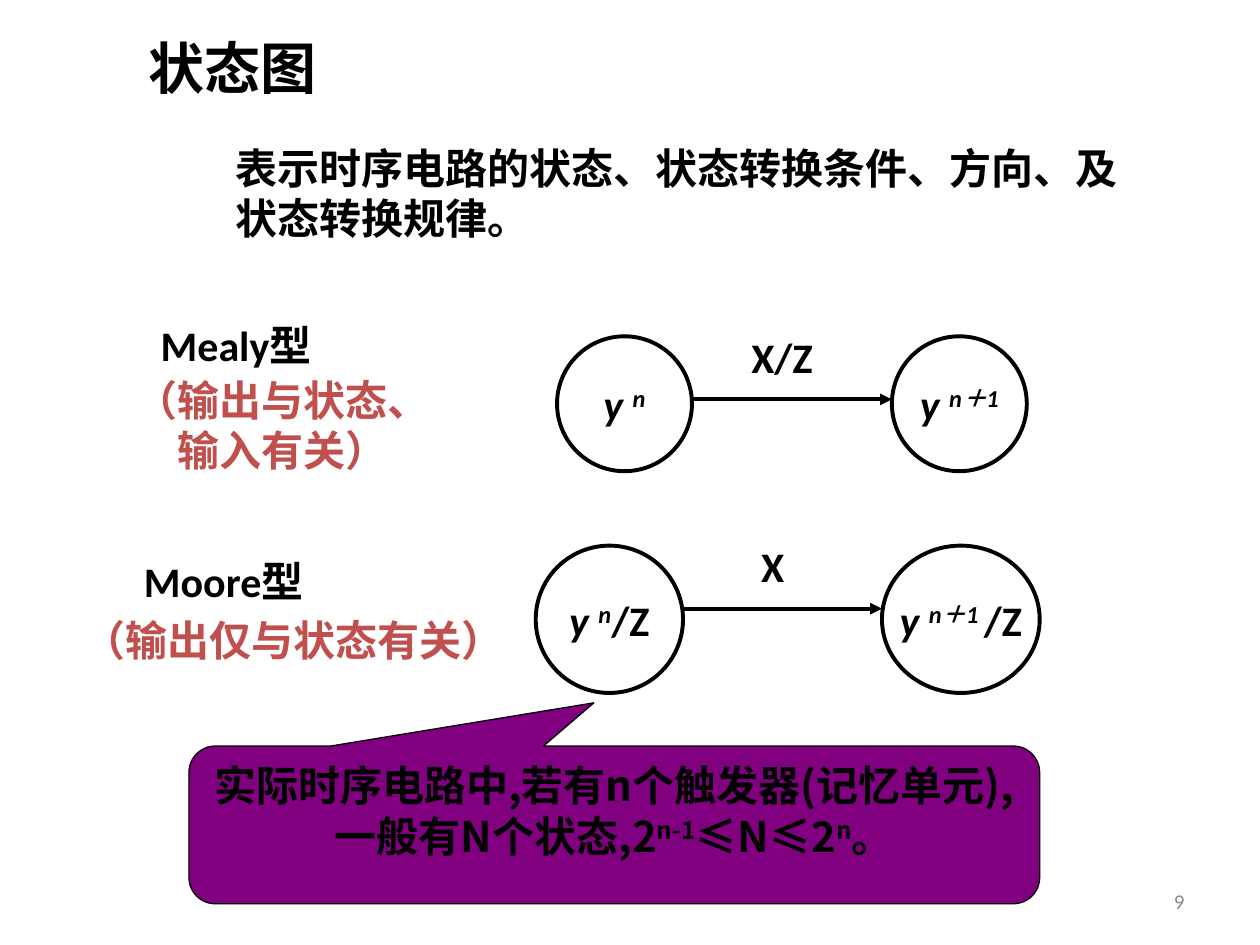
"""Build the slide on Mealy and Moore state diagrams."""
from lxml import etree
from pptx import Presentation
from pptx.dml.color import RGBColor
from pptx.enum.shapes import MSO_CONNECTOR, MSO_SHAPE
from pptx.enum.text import MSO_ANCHOR, PP_ALIGN
from pptx.oxml.ns import qn
from pptx.util import Cm, Pt

LEFT, CENTER, RIGHT = PP_ALIGN.LEFT, PP_ALIGN.CENTER, PP_ALIGN.RIGHT
TOP, MIDDLE = MSO_ANCHOR.TOP, MSO_ANCHOR.MIDDLE
OVAL, CALLOUT = MSO_SHAPE.OVAL, MSO_SHAPE.ROUNDED_RECTANGULAR_CALLOUT
STRAIGHT = MSO_CONNECTOR.STRAIGHT

COLORS = {"ink": "000000", "paper": "FFFFFF", "note": "C0504D",
          "callout": "800080", "page": "898989"}
LATIN, CHINESE = "Calibri", "Noto Sans CJK SC"

Y, N, N_NEXT, OUTPUT = ("y ", "i"), ("n", "i^"), ("n＋1", "i^"), ("/Z", "")

CAPTIONS = [
    ((18.21, 17.65, 5.92, 1.02), ["9"],
     dict(size=12, bold=False, color="page", align=RIGHT, anchor=MIDDLE)),
    ((2.69, 0.71, 4.01, 1.27), ["状态图"], dict(size=32, anchor=MIDDLE)),
    ((4.5, 2.74, 18.29, 2.29),
     ["表示时序电路的状态、状态转换条件、方向、及", "状态转换规律。"],
     dict(font=CHINESE, align=LEFT, wrap=False)),
    ((2.69, 6.32, 4.14, 1.27), ["Mealy型"], {}),
    ((2.11, 7.42, 7.19, 2.29), ["（输出与状态、", "输入有关）"],
     dict(font=CHINESE, color="note")),
    ((2.54, 11.07, 3.94, 1.27), ["Moore型"], dict(wrap=False)),
    ((1.3, 12.27, 9.22, 1.27), ["（输出仅与状态有关）"],
     dict(font=CHINESE, color="note")),
]

DIAGRAMS = [
    dict(top=6.78, height=2.72, condition="X/Z", condition_width=2,
         states=[(11.23, 2.72, [Y, N]), (17.98, 2.72, [Y, N_NEXT])]),
    dict(top=11, height=2.97, condition="X", condition_width=1,
         states=[(10.8, 2.97, [Y, N, OUTPUT]),
                 (17.78, 3.18, [Y, ("n＋1 ", "i^"), OUTPUT])]),
]
ARROW_DROP, CONDITION_RISE, CONDITION_SHIFT = 1.27, 0.22, -0.2

RULE_BOX = (3.81, 15.04, 17.15, 3.18)
RULE_ADJUSTMENTS = (-0.024, -0.774, 0.167)
RULE = [("实际时序电路中,若有n个触发器(记忆单元),一般有N个状态,2", ""),
        ("n-1", "^"), ("≤N≤2", ""), ("n", "^"), ("。", "")]


def rgb(name):
    return RGBColor.from_string(COLORS[name])


def write(holder, paragraphs, size=24, font=LATIN, color="ink", bold=True,
          align=CENTER, anchor=TOP, wrap=True):
    """Fill a shape; a paragraph is a string or (text, marks) runs, i italic, ^ raised."""
    frame = holder.text_frame
    frame.word_wrap = wrap
    frame.vertical_anchor = anchor
    for index, content in enumerate(paragraphs):
        paragraph = frame.add_paragraph() if index else frame.paragraphs[0]
        paragraph.alignment = align
        runs = [(content, "")] if isinstance(content, str) else content
        for text, marks in runs:
            run = paragraph.add_run()
            run.text = text
            run.font.size = Pt(size)
            run.font.bold = bold
            run.font.italic = "i" in marks
            run.font.color.rgb = rgb(color)
            run.font.name = font
            properties = run._r.get_or_add_rPr()
            etree.SubElement(properties, qn("a:ea"), typeface=CHINESE)
            if "^" in marks:
                properties.set("baseline", "30000")


def add_caption(slide, box, paragraphs, **style):
    write(slide.shapes.add_textbox(*map(Cm, box)), paragraphs, **style)


def add_outlined(slide, kind, box, fill, width):
    shape = slide.shapes.add_shape(kind, *map(Cm, box))
    shape.shadow.inherit = False
    shape.fill.solid()
    shape.fill.fore_color.rgb = rgb(fill)
    shape.line.color.rgb = rgb("ink")
    shape.line.width = Pt(width)
    return shape


def add_arrow(slide, start, end, y):
    arrow = slide.shapes.add_connector(STRAIGHT, Cm(start), Cm(y), Cm(end), Cm(y))
    arrow.line.color.rgb = rgb("ink")
    arrow.line.width = Pt(2.25)
    etree.SubElement(arrow.line._get_or_add_ln(), qn("a:tailEnd"), type="triangle")
    etree.SubElement(arrow._element.spPr, qn("a:effectLst"))


def add_diagram(slide, top, height, condition, condition_width, states):
    for left, width, label in states:
        state = add_outlined(slide, OVAL, (left, top, width, height), "paper", 2.25)
        write(state, [label], anchor=MIDDLE, wrap=False)
    start, end = states[0][0] + states[0][1], states[1][0]
    add_arrow(slide, start, end, top + ARROW_DROP)
    condition_left = (start + end - condition_width) / 2 + CONDITION_SHIFT
    add_caption(slide, (condition_left, top - CONDITION_RISE, condition_width, 1.27),
                [condition], wrap=False)


def main():
    deck = Presentation()
    deck.slide_width, deck.slide_height = Cm(25.4), Cm(19.05)
    slide = deck.slides.add_slide(deck.slide_layouts[6])
    for box, paragraphs, style in CAPTIONS:
        add_caption(slide, box, paragraphs, **style)
    for diagram in DIAGRAMS:
        add_diagram(slide, **diagram)
    rule = add_outlined(slide, CALLOUT, RULE_BOX, "callout", 0.75)
    for index, value in enumerate(RULE_ADJUSTMENTS):
        rule.adjustments[index] = value
    write(rule, [RULE], font=CHINESE)
    deck.save("out.pptx")


if __name__ == "__main__":
    main()
